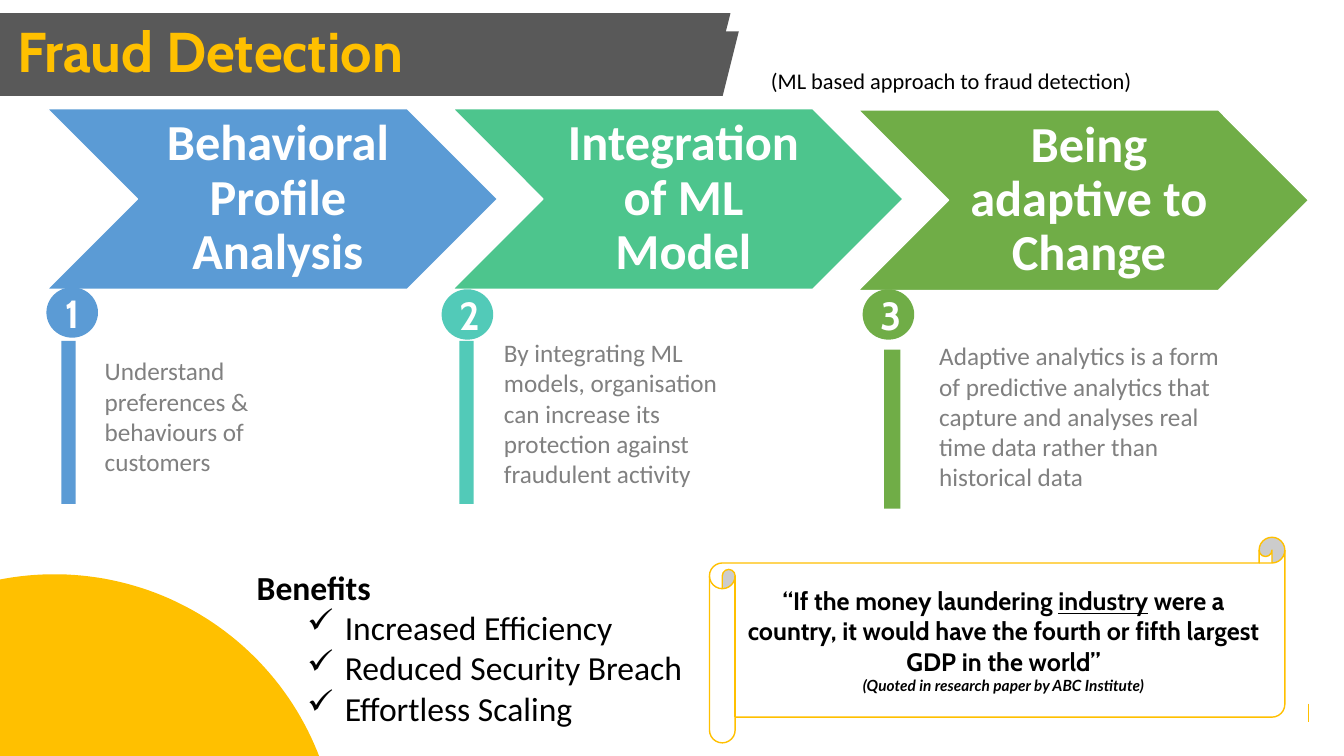
from dataclasses import dataclass
from math import acos, cos, pi, sin

from lxml.etree import SubElement
from pptx import Presentation
from pptx.dml.color import RGBColor
from pptx.enum.shapes import MSO_CONNECTOR, MSO_SHAPE
from pptx.enum.text import MSO_ANCHOR, MSO_AUTO_SIZE, PP_ALIGN
from pptx.oxml.ns import qn
from pptx.util import Cm, Pt

AMBER, GREY, WHITE, BLACK = "FFC000", "595959", "FFFFFF", "000000"
Box = tuple[float, float, float, float]


@dataclass
class Step:
    heading: str
    note: str
    chevron_color: str
    accent: str
    chevron_top: float
    badge: tuple[float, float]
    bar: Box
    note_box: Box


STEPS = [
    Step("Behavioral Profile Analysis",
         "Understand preferences & behaviours of customers",
         "5B9BD5", "5B9BD5", 2.74, (1.17, 7.24),
         (1.55, 8.59, 0.36, 4.11), (2.39, 8.84, 6.32, 3.33)),
    Step("Integration of ML Model",
         "By integrating ML models, organisation can increase its "
         "protection against fraudulent activity",
         "4DC58D", "52CAB8", 2.74, (11.13, 7.29),
         (11.58, 8.59, 0.36, 4.11), (12.45, 8.38, 6.32, 4.11)),
    Step("Being adaptive to Change",
         "Adaptive analytics is a form of predictive analytics that capture "
         "and analyses real time data rather than historical data",
         "70AD47", "70AD47", 2.77, (21.74, 7.29),
         (22.28, 8.81, 0.41, 4.01), (23.42, 8.46, 7.85, 4.11)),
]
BENEFITS = ["Increased Efficiency", "Reduced Security Breach", "Effortless Scaling"]
CHEVRON_LEFT, CHEVRON_PITCH, CHEVRON_W, CHEVRON_H = 1.19, 10.22, 11.35, 4.55


def rgb(color: str) -> RGBColor:
    return RGBColor.from_string(color)


def paint(sp, fill: str, line: str | None = None):
    sp.shadow.inherit = False
    sp.fill.solid()
    sp.fill.fore_color.rgb = rgb(fill)
    if line:
        sp.line.color.rgb = rgb(line)
        sp.line.width = Pt(1)
    else:
        sp.line.fill.background()
    return sp


def add_shape(s, kind: MSO_SHAPE, box: Box, fill: str, line: str | None = None):
    return paint(s.shapes.add_shape(kind, *map(Cm, box)), fill, line)


def add_box(s, box: Box, grow: bool = True):
    tf = s.shapes.add_textbox(*map(Cm, box)).text_frame
    tf.word_wrap = True
    tf.auto_size = MSO_AUTO_SIZE.SHAPE_TO_FIT_TEXT if grow else MSO_AUTO_SIZE.NONE
    return tf


def write(p, text: str, *, size: float, font: str = "Calibri", color: str = BLACK,
          bold: bool = False, italic: bool = False, underline: bool = False,
          align: PP_ALIGN = PP_ALIGN.LEFT, spacing: float = 1.0) -> None:
    p.alignment = align
    p.line_spacing = spacing
    r = p.add_run()
    r.text = text
    f = r.font
    f.name, f.size, f.color.rgb = font, Pt(size), rgb(color)
    f.bold, f.italic, f.underline = bold, italic, underline


def add_tick(p) -> None:
    p.level = 1
    pPr = p._p.get_or_add_pPr()
    pPr.set("marL", str(Cm(2.22)))
    pPr.set("indent", str(-Cm(0.95)))
    SubElement(pPr, qn("a:buChar")).set("char", "✓")


def add_scroll(s) -> None:
    sp = add_shape(s, MSO_SHAPE.HORIZONTAL_SCROLL, (17.88, 13.54, 14.5, 5.18), WHITE, AMBER)
    tf = sp.text_frame
    tf.vertical_anchor = MSO_ANCHOR.MIDDLE
    p = tf.paragraphs[0]
    for text, underline in (
            ("“If the money laundering ", False), ("industry", True),
            (" were a country, it would have the fourth or fifth largest GDP in the world”", False)):
        write(p, text, size=18, font="Cabin", bold=True, underline=underline, align=PP_ALIGN.CENTER)
    write(tf.add_paragraph(), "(Quoted in research paper by ABC Institute)", size=11,
          font="Lato", bold=True, italic=True, align=PP_ALIGN.CENTER)


def add_corner_disc(s) -> None:
    cx, cy, radius, left, bottom = 1.37, 21.62, 7.15, -4.17, 22.05
    start, count = acos((left - cx) / radius), 90
    angles = [start * (1 - i / count) for i in range(count + 1)]
    arc = [(Cm(cx + radius * cos(a)), Cm(cy - radius * sin(a))) for a in angles]
    fb = s.shapes.build_freeform(Cm(left), Cm(bottom))
    fb.add_line_segments(arc + [(Cm(cx + radius), Cm(bottom))], close=True)
    paint(fb.convert_to_shape(), AMBER)


def add_header(s) -> None:
    for box in ((-0.89, 0.33, 19.3, 1.35), (-0.58, 0.79, 19.2, 1.63)):
        add_shape(s, MSO_SHAPE.PARALLELOGRAM, box, GREY)
    title = s.shapes.title
    title.left, title.top, title.width, title.height = map(Cm, (0.43, 0.48, 18.19, 1.8))
    s.shapes._spTree.append(title._element)  # bring the title above the banner
    tf = title.text_frame
    tf.word_wrap = True
    tf.auto_size = MSO_AUTO_SIZE.SHAPE_TO_FIT_TEXT
    tf.vertical_anchor = MSO_ANCHOR.TOP
    tf.margin_left = tf.margin_right = 0
    p = tf.paragraphs[0]
    p.space_before = Pt(0)
    write(p, "Fraud Detection", size=40, font="Cabin", color=AMBER, bold=True, spacing=0.9)
    tf = add_box(s, (19.18, 1.57, 12.37, 0.94))
    write(tf.paragraphs[0], "(ML based approach to fraud detection)", size=16)


def add_step(s, number: int, step: Step) -> None:
    left = CHEVRON_LEFT + (number - 1) * CHEVRON_PITCH
    add_shape(s, MSO_SHAPE.CHEVRON, (left, step.chevron_top, CHEVRON_W, CHEVRON_H),
              step.chevron_color, WHITE)
    inset = CHEVRON_H / 2
    tf = add_box(s, (left + inset, step.chevron_top, CHEVRON_W - 2 * inset, CHEVRON_H), grow=False)
    tf.vertical_anchor = MSO_ANCHOR.MIDDLE
    tf.margin_left, tf.margin_right = Cm(0.41), Cm(0.13)
    write(tf.paragraphs[0], step.heading, size=36, color=WHITE, bold=True,
          align=PP_ALIGN.CENTER, spacing=0.9)

    add_shape(s, MSO_SHAPE.RECTANGLE, step.bar, step.accent)
    badge = add_shape(s, MSO_SHAPE.OVAL, (*step.badge, 1.3, 1.27), step.accent)
    badge.text_frame.vertical_anchor = MSO_ANCHOR.MIDDLE
    write(badge.text_frame.paragraphs[0], str(number), size=28, font="Cabin",
          color=WHITE, bold=True, align=PP_ALIGN.CENTER)
    write(add_box(s, step.note_box).paragraphs[0], step.note, size=18, color="808080")


def add_benefits(s) -> None:
    tf = add_box(s, (6.22, 14.15, 12.95, 4.37))
    write(tf.paragraphs[0], "Benefits", size=24, bold=True)
    for benefit in BENEFITS:
        p = tf.add_paragraph()
        write(p, benefit, size=24)
        add_tick(p)


def add_edge_mark(s) -> None:
    x = Cm(32.97)
    line = s.shapes.add_connector(MSO_CONNECTOR.STRAIGHT, x, Cm(17.73), x, Cm(18.19))
    line.line.color.rgb = rgb(AMBER)
    line.line.width = Pt(0.5)
    SubElement(line._element.spPr, qn("a:effectLst"))


def main() -> None:
    prs = Presentation()
    prs.slide_width, prs.slide_height = Cm(33.87), Cm(19.05)
    s = prs.slides.add_slide(prs.slide_layouts[5])

    # Background decoration and quote
    add_edge_mark(s)
    add_scroll(s)
    add_corner_disc(s)

    # Title banner
    add_header(s)

    # Three steps
    for number, step in enumerate(STEPS, start=1):
        add_step(s, number, step)

    # Benefits list
    add_benefits(s)
    prs.save("out.pptx")


if __name__ == "__main__":
    main()
